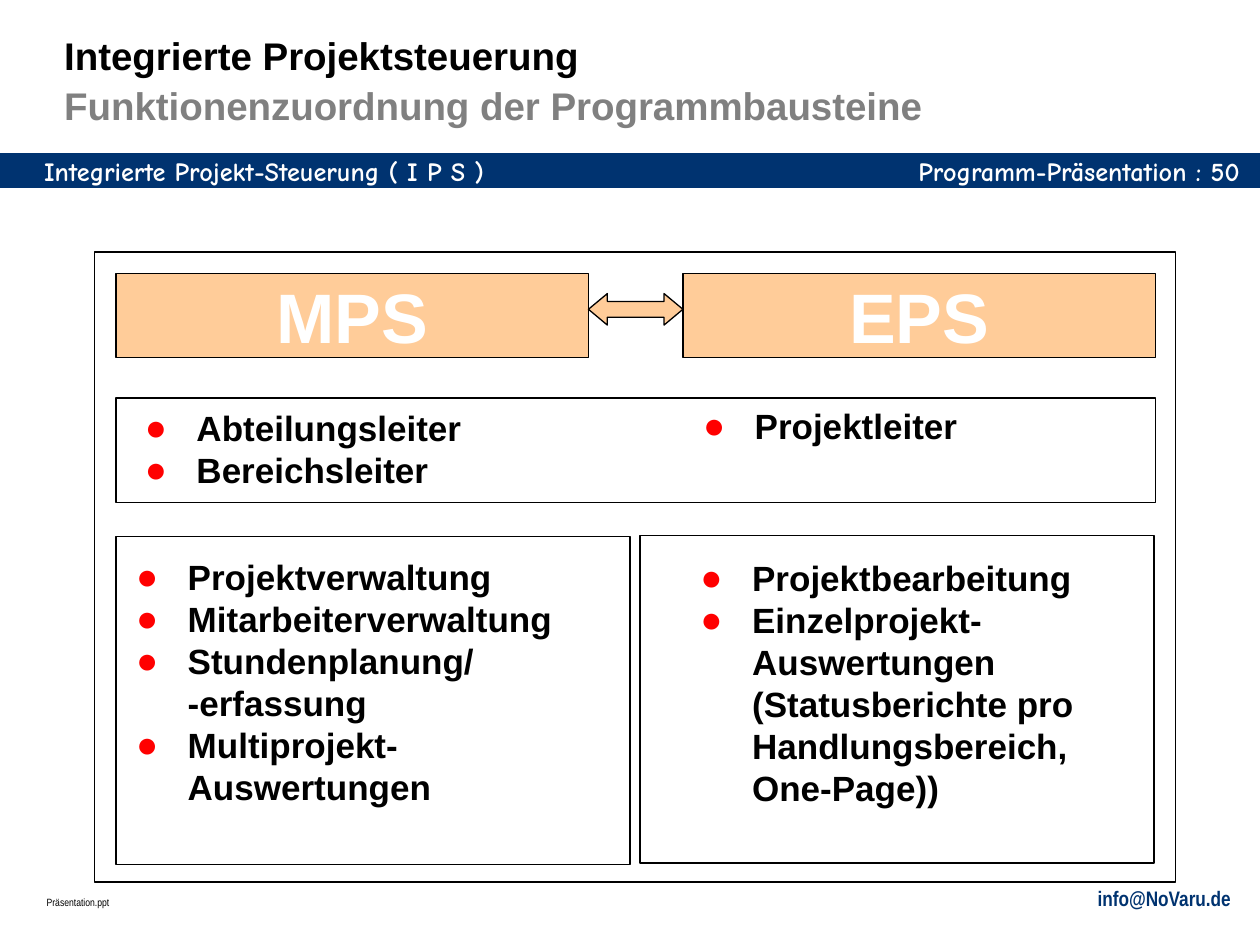
from lxml import etree
from pptx import Presentation
from pptx.dml.color import RGBColor
from pptx.enum import shapes, text
from pptx.oxml.ns import qn
from pptx.util import Inches, Pt

NAVY, PEACH, RED = "003370", "FFCC99", "FF0000"
BLACK, GRAY, WHITE = "000000", "808080", "FFFFFF"
LEFT, RIGHT = text.PP_ALIGN.LEFT, text.PP_ALIGN.RIGHT
INDENT = Inches(0.41)


def color(value):
    return RGBColor.from_string(value)


def style_runs(para, size, hue, font="Arial", bold=True):
    for span in para.runs:
        span.font.size = Pt(size)
        span.font.name = font
        span.font.bold = bold
        span.font.color.rgb = color(hue)


def clear_margins(frame):
    frame.margin_left = frame.margin_right = 0
    frame.margin_top = frame.margin_bottom = 0


def add_block(page, area, fill=None, line=BLACK, width=0.75,
              kind=shapes.MSO_SHAPE.RECTANGLE):
    block = page.shapes.add_shape(kind, *map(Inches, area))
    block.shadow.inherit = False
    if fill:
        block.fill.solid()
        block.fill.fore_color.rgb = color(fill)
    else:
        block.fill.background()
    block.line.color.rgb = color(line)
    block.line.width = Pt(width)
    return block


def add_heading(page, area, words):
    frame = add_block(page, area, PEACH).text_frame
    clear_margins(frame)
    frame.vertical_anchor = text.MSO_ANCHOR.MIDDLE
    frame.text = words
    para = frame.paragraphs[0]
    para.alignment = text.PP_ALIGN.CENTER
    style_runs(para, 40, WHITE)


def add_text(page, area, words):
    frame = page.shapes.add_textbox(*map(Inches, area)).text_frame
    clear_margins(frame)
    frame.word_wrap = True
    frame.text = words
    return frame


def add_label(page, area, words, size, hue, font, align=LEFT, bold=True):
    para = add_text(page, area, words).paragraphs[0]
    para.alignment = align
    style_runs(para, size, hue, font, bold)


def add_title(page, area, first, second):
    frame = add_text(page, area, first)
    frame.vertical_anchor = text.MSO_ANCHOR.BOTTOM
    para = frame.paragraphs[0]
    para.line_spacing = Pt(28.5)
    para.add_line_break()
    para.add_run().text = second
    style_runs(para, 22, BLACK)
    para.runs[-1].font.color.rgb = color(GRAY)


def add_bullet(para):
    props = para._p.get_or_add_pPr()
    props.set("marL", str(INDENT))
    props.set("indent", str(-INDENT))
    hue = etree.SubElement(props, qn("a:buClr"))
    etree.SubElement(hue, qn("a:srgbClr"), val=RED)
    etree.SubElement(props, qn("a:buSzPct"), val="105000")
    etree.SubElement(props, qn("a:buFont"), typeface="Arial")
    etree.SubElement(props, qn("a:buChar"), char="●")


def add_list(page, area, items):
    """Add bulleted items; a line feed inside an item is a line break."""
    frame = add_text(page, area, "")
    for index, item in enumerate(items):
        para = frame.add_paragraph() if index else frame.paragraphs[0]
        para.text = item.replace("\n", "\v")
        add_bullet(para)
        style_runs(para, 20, BLACK)


def add_master_parts(page):
    add_block(page, (0, 1.23, 10, 0.25), NAVY, NAVY, 2)
    add_label(page, (0.35, 1.23, 9.65, 0.25),
              "Integrierte Projekt-Steuerung ( I P S )", 15, WHITE, "Comic Neue")
    add_label(page, (5.94, 1.23, 3.9, 0.25),
              "Programm-Präsentation : 50", 15, WHITE, "Comic Neue", RIGHT)
    add_label(page, (5.89, 7.03, 3.88, 0.2),
              "info@NoVaru.de", 12, NAVY, "Arial Narrow", RIGHT)
    add_label(page, (0.37, 7.11, 3.88, 0.1),
              "Präsentation.ppt", 6, BLACK, "Arial Narrow", bold=False)


def main():
    deck = Presentation()
    deck.slide_width, deck.slide_height = Inches(10), Inches(7.5)
    page = deck.slides.add_slide(deck.slide_layouts[6])

    add_master_parts(page)
    add_title(page, (0.51, 0.52, 9.11, 0.5), "Integrierte Projektsteuerung",
              "Funktionenzuordnung der Programmbausteine")

    frames = [(0.75, 2, 8.58, 5), (0.92, 3.16, 8.25, 0.83),
              (0.92, 4.26, 4.08, 2.6), (5.08, 4.25, 4.08, 2.6)]
    for area in frames:
        add_block(page, area)

    for left, words in ((0.92, "MPS"), (5.42, "EPS")):
        add_heading(page, (left, 2.17, 3.75, 0.67), words)
    arrow = add_block(page, (4.67, 2.33, 0.75, 0.25), PEACH,
                      kind=shapes.MSO_SHAPE.LEFT_RIGHT_ARROW)
    arrow.adjustments[0], arrow.adjustments[1] = 0.5, 0.6

    add_list(page, (1.15, 3.23, 2.7, 0.67),
             ["Abteilungsleiter", "Bereichsleiter"])
    add_list(page, (5.58, 3.21, 2.2, 0.33), ["Projektleiter"])
    add_list(page, (1.08, 4.41, 4.08, 2),
             ["Projektverwaltung", "Mitarbeiterverwaltung",
              "Stundenplanung/\n-erfassung", "Multiprojekt-\nAuswertungen"])
    add_list(page, (5.56, 4.42, 3.47, 2),
             ["Projektbearbeitung",
              "Einzelprojekt-Auswertungen\n"
              "(Statusberichte pro Handlungsbereich,\nOne-Page))"])

    deck.save("out.pptx")


if __name__ == "__main__":
    main()
